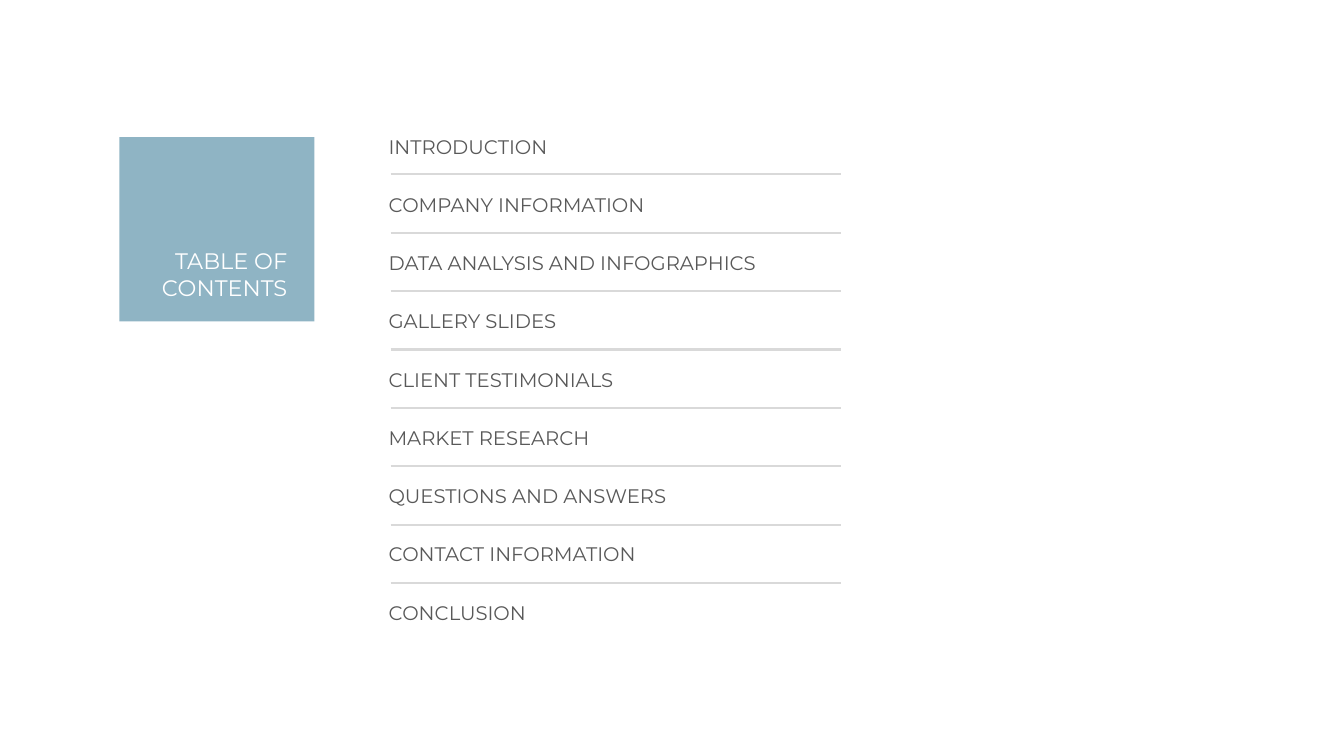
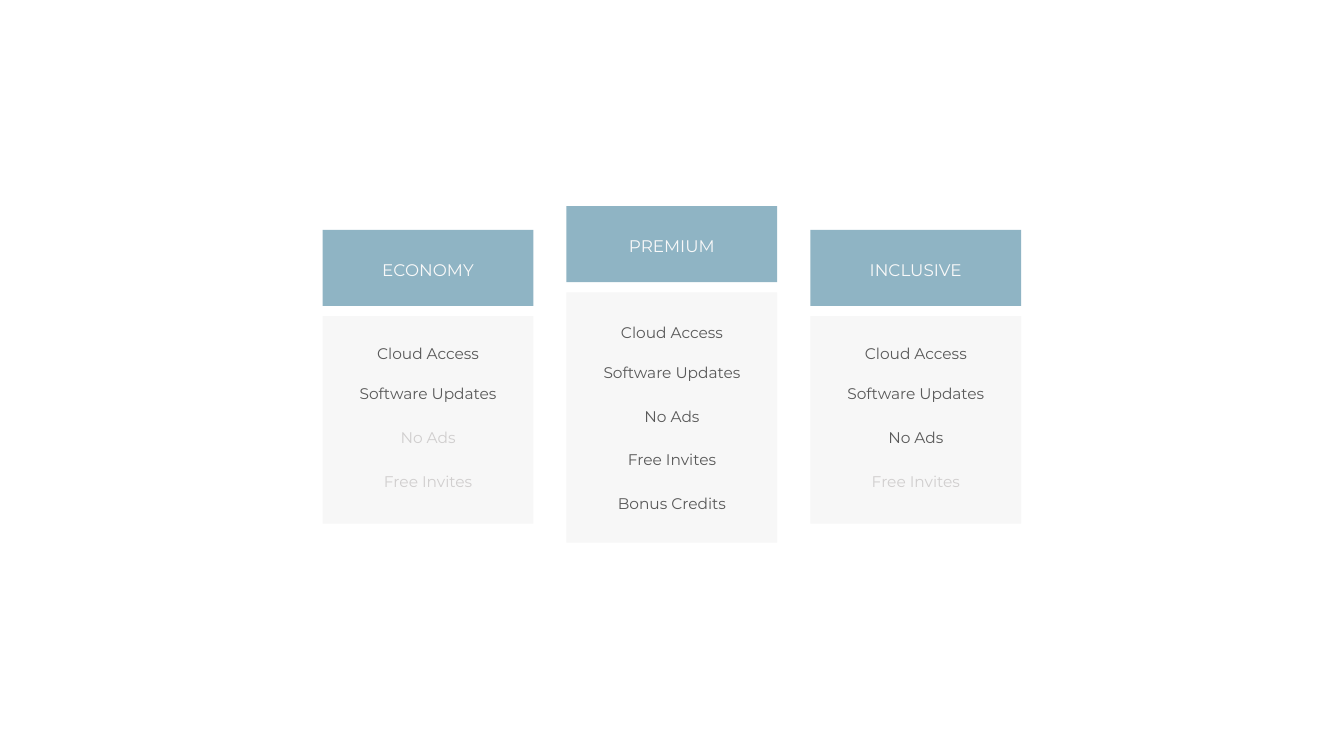
from dataclasses import dataclass

from lxml.etree import SubElement
from pptx import Presentation
from pptx.dml.color import RGBColor
from pptx.enum.shapes import MSO_CONNECTOR, MSO_SHAPE
from pptx.enum.text import MSO_AUTO_SIZE, PP_ALIGN
from pptx.oxml.ns import qn
from pptx.util import Pt


@dataclass(frozen=True)
class Theme:
    font: str = "Montserrat"
    accent: str = "8FB4C4"
    panel: str = "F7F7F7"
    rule: str = "D9D9D9"
    ink: str = "595959"
    muted: str = "D0CECE"
    title_ink: str = "FFFFFF"
    plan_ink: str = "F9F9F9"
    title_size: int = 32
    entry_size: int = 28
    plan_size: int = 24
    feature_size: int = 22


class Builder:
    def __init__(self, deck, theme):
        self.deck = deck
        self.theme = theme
        self.page = None

    def new_page(self):
        self.page = self.deck.slides.add_slide(self.deck.slide_layouts[6])

    def block(self, left, top, width, height, color):
        box = self.page.shapes.add_shape(
            MSO_SHAPE.RECTANGLE, Pt(left), Pt(top), Pt(width), Pt(height))
        box.shadow.inherit = False
        box.fill.solid()
        box.fill.fore_color.rgb = RGBColor.from_string(color)
        box.line.fill.background()

    def rule(self, left, right, top):
        line = self.page.shapes.add_connector(
            MSO_CONNECTOR.STRAIGHT, Pt(left), Pt(top), Pt(right), Pt(top))
        line.line.width = Pt(3)
        line.line.color.rgb = RGBColor.from_string(self.theme.rule)
        SubElement(line._element.spPr, qn("a:effectLst"))

    def text(self, left, top, width, height, lines, size, color,
             align=PP_ALIGN.LEFT, wrap=True):
        box = self.page.shapes.add_textbox(Pt(left), Pt(top), Pt(width), Pt(height))
        frame = box.text_frame
        frame.word_wrap = wrap
        frame.auto_size = MSO_AUTO_SIZE.SHAPE_TO_FIT_TEXT
        for index, line in enumerate(lines):
            para = frame.add_paragraph() if index else frame.paragraphs[0]
            para.alignment = align
            span = para.add_run()
            span.text = line
            span.font.name = self.theme.font
            span.font.size = Pt(size)
            span.font.color.rgb = RGBColor.from_string(color)


ENTRIES = (
    "INTRODUCTION", "COMPANY INFORMATION", "DATA ANALYSIS AND INFOGRAPHICS",
    "GALLERY SLIDES", "CLIENT TESTIMONIALS", "MARKET RESEARCH",
    "QUESTIONS AND ANSWERS", "CONTACT INFORMATION", "CONCLUSION",
)
FEATURES = ("Cloud Access", "Software Updates", "No Ads", "Free Invites", "Bonus Credits")
FEATURE_OFFSETS = (0, 57.6, 120, 182.2, 244.8)


@dataclass(frozen=True)
class Plan:
    name: str
    top: float
    panel_height: float
    list_offset: float
    listed: int
    included: int


PLANS = (
    Plan("ECONOMY", 328.4, 296.6, 159.8, 4, 2),
    Plan("PREMIUM", 294.5, 357.8, 163.4, 5, 5),
    Plan("INCLUSIVE", 328.4, 296.6, 159.8, 4, 3),
)


def build_contents(builder):
    theme = builder.theme
    builder.new_page()
    builder.block(170.6, 195.8, 278.6, 263.5, theme.accent)
    builder.text(223.2, 350, 194.4, 85, ("TABLE OF", "CONTENTS"),
                 theme.title_size, theme.title_ink, PP_ALIGN.RIGHT, wrap=False)
    for index, entry in enumerate(ENTRIES):
        builder.text(548, 188.8 + index * 83.2, 763, 41, (entry,),
                     theme.entry_size, theme.ink)
        if index < len(ENTRIES) - 1:
            builder.rule(558, 1201.7, 249.1 + index * 83.4)


def build_plan(builder, plan, left):
    theme = builder.theme
    builder.block(left, plan.top + 123.1, 301, plan.panel_height, theme.panel)
    builder.block(left, plan.top, 301, 108.7, theme.accent)
    builder.text(left + 35.6, plan.top + 38.5, 229.7, 36, (plan.name,),
                 theme.plan_size, theme.plan_ink, PP_ALIGN.CENTER)
    for index, feature in enumerate(FEATURES[:plan.listed]):
        color = theme.ink if index < plan.included else theme.muted
        top = plan.top + plan.list_offset + FEATURE_OFFSETS[index]
        builder.text(left + 30.5, top, 240.5, 33.8, (feature,),
                     theme.feature_size, color, PP_ALIGN.CENTER)


def build_pricing(builder):
    builder.new_page()
    for index, plan in enumerate(PLANS):
        build_plan(builder, plan, 460.8 + index * 348.4)


def main():
    deck = Presentation()
    deck.slide_width = Pt(1920)
    deck.slide_height = Pt(1080)
    builder = Builder(deck, Theme())
    build_contents(builder)
    build_pricing(builder)
    deck.save("out.pptx")


if __name__ == "__main__":
    main()
